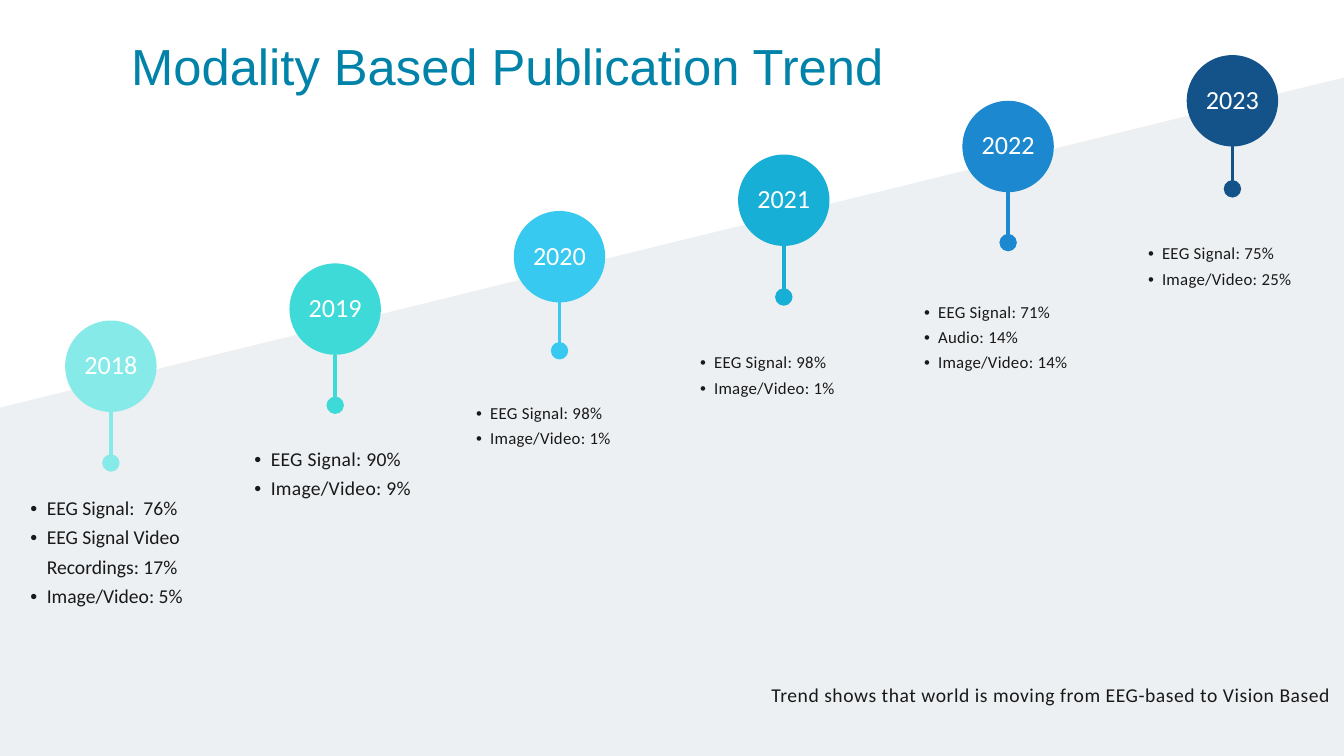
import pptx
import pptx.util
import pptx.dml.color
import pptx.enum.shapes
import pptx.enum.text
import pptx.oxml.ns
from lxml import etree

Inches, Pt = pptx.util.Inches, pptx.util.Pt
SHAPE = pptx.enum.shapes.MSO_SHAPE
ALIGN = pptx.enum.text.PP_ALIGN
ANCHOR = pptx.enum.text.MSO_ANCHOR

SLIDE_W, SLIDE_H = 20, 11.25
COLORS = {
    "panel": "EDF0F2", "sky": "FFFFFF", "label": "FFFFFF",
    "title": "0082A9", "text": "191919",
    "2018": "86EAE9", "2019": "3EDAD8", "2020": "37C9EF",
    "2021": "18AFD6", "2022": "1C88CF", "2023": "13538A",
}

# year: circle top, stem end, list top inside the column, text size, list
MILESTONES = {
    "2018": (4.77, 6.89, 7.34, 21, ["EEG Signal:  76%", "EEG Signal Video Recordings: 17%",
                                    "Image/Video: 5%"]),
    "2019": (3.92, 6.03, 6.61, 21, ["EEG Signal: 90%", "Image/Video: 9%"]),
    "2020": (3.14, 5.22, 5.96, 18, ["EEG Signal: 98%", "Image/Video: 1%"]),
    "2021": (2.30, 4.42, 5.21, 18, ["EEG Signal: 98%", "Image/Video: 1%"]),
    "2022": (1.50, 3.61, 4.46, 18, ["EEG Signal: 71%", "Audio: 14%", "Image/Video: 14%"]),
    "2023": (0.82, 2.81, 3.59, 18, ["EEG Signal: 75%", "Image/Video: 25%"]),
}
CIRCLE = 1.36
FIRST_CENTER, LAST_CENTER = 1.65, 18.34
PITCH = (LAST_CENTER - FIRST_CENTER) / (len(MILESTONES) - 1)


def rgb(name):
    return pptx.dml.color.RGBColor.from_string(COLORS[name])


def add_xml(parent, tag, **attributes):
    return etree.SubElement(parent, pptx.oxml.ns.qn(tag), attributes)


def apply(target, formats):
    for name, value in formats.items():
        setattr(target, name, value)


def write(paragraph, text, size, color, leading, font="Calibri", spacing=0):
    run = paragraph.add_run()
    run.text = text
    apply(run.font, {"name": font, "size": Pt(size), "bold": False})
    run.font.color.rgb = rgb(color)
    if spacing:
        run.font._element.set("spc", str(round(spacing * 100)))
    paragraph.line_spacing = Pt(leading)


def set_frame(frame, anchor, bottom=0):
    apply(frame, {"margin_left": 0, "margin_right": 0, "margin_top": 0,
                  "margin_bottom": Inches(bottom), "word_wrap": True,
                  "vertical_anchor": anchor})


def add_plain_shape(slide, kind, color, left, top, width, height):
    shape = slide.shapes.add_shape(kind, *map(Inches, (left, top, width, height)))
    shape.shadow.inherit = False
    shape.fill.solid()
    shape.fill.fore_color.rgb = rgb(color)
    shape.line.fill.background()
    return shape


def fill_list(cell, top, size, items, spacing):
    margin = Inches(0.21)
    apply(cell, {"margin_left": margin, "margin_right": margin,
                 "margin_top": Inches(top), "margin_bottom": margin})
    properties = cell._tc.get_or_add_tcPr()
    for side in ("a:lnL", "a:lnR", "a:lnT", "a:lnB"):
        add_xml(add_xml(properties, side, w="0"), "a:noFill")
    cell.fill.solid()
    cell.fill.fore_color.rgb = rgb("panel")

    indent = Pt(size) / 1.2
    for number, item in enumerate(items):
        frame = cell.text_frame
        paragraph = frame.add_paragraph() if number else frame.paragraphs[0]
        paragraph.level = 1
        layout = paragraph._p.get_or_add_pPr()
        layout.set("marL", str(round(2 * indent)))
        layout.set("indent", str(-round(indent)))
        add_xml(layout, "a:buFont", typeface="Arial")
        add_xml(layout, "a:buChar", char="•")
        write(paragraph, item, size, "text", size * 1.5, spacing=spacing)


def add_columns(slide):
    count = len(MILESTONES)
    table = slide.shapes.add_table(1, count, 0, Inches(-0.03), Inches(SLIDE_W),
                                   Inches(SLIDE_H + 0.03)).table
    apply(table, {"first_row": False, "horz_banding": False})
    for column, (_, _, top, size, items) in enumerate(MILESTONES.values()):
        fill_list(table.cell(0, column), top, size, items, 0.3 if column else 0)


def add_milestone(slide, year, center, top, stem_end):
    circle = add_plain_shape(slide, SHAPE.OVAL, year, center - CIRCLE / 2, top, CIRCLE, CIRCLE)
    set_frame(circle.text_frame, ANCHOR.MIDDLE, bottom=0.14)
    circle.text_frame.word_wrap = False
    label = circle.text_frame.paragraphs[0]
    label.alignment = ALIGN.CENTER
    write(label, year, 28, "label", 39.2)

    # Stem ending in a dot
    stem = slide.shapes.add_connector(
        pptx.enum.shapes.MSO_CONNECTOR.STRAIGHT,
        *map(Inches, (center, top + CIRCLE, center, stem_end)))
    stem.line.color.rgb = rgb(year)
    stem.line.width = Pt(3.75)
    add_xml(stem.line._get_or_add_ln(), "a:tailEnd", type="oval", w="lg", len="lg")
    add_xml(stem._element.spPr, "a:effectLst")


def add_title(slide, text):
    title = slide.shapes.title
    apply(title, {"left": Inches(0.97), "top": Inches(0.37),
                  "width": Inches(13.17), "height": Inches(1.01)})
    set_frame(title.text_frame, ANCHOR.TOP)
    paragraph = title.text_frame.paragraphs[0]
    paragraph.alignment = ALIGN.CENTER
    write(paragraph, text, 54.3, "title", 76, font="Arial")
    # Bring the title in front of the background
    slide.shapes._spTree.append(title._element)


def add_conclusion(slide, text):
    box = slide.shapes.add_textbox(*map(Inches, (10.58, 10.1, 9.22, 0.4)))
    set_frame(box.text_frame, ANCHOR.TOP)
    paragraph = box.text_frame.paragraphs[0]
    paragraph.alignment = ALIGN.RIGHT
    write(paragraph, text, 21, "text", 29.4, spacing=0.6)


def main():
    deck = pptx.Presentation()
    apply(deck, {"slide_width": Inches(SLIDE_W), "slide_height": Inches(SLIDE_H)})
    slide = deck.slides.add_slide(deck.slide_layouts[5])

    # Columns with lists, and the white slope above them
    add_columns(slide)
    slope = add_plain_shape(slide, SHAPE.RECTANGLE, "sky", -2.2, -2.43, 22.67, 6.16)
    slope.rotation = 346.2

    # Timeline
    for column, (year, (top, stem_end, *_)) in enumerate(MILESTONES.items()):
        add_milestone(slide, year, FIRST_CENTER + column * PITCH, top, stem_end)

    # Title and conclusion
    add_title(slide, "Modality Based Publication Trend")
    add_conclusion(slide, "Trend shows that world is moving from EEG-based to Vision Based")
    deck.save("out.pptx")


if __name__ == "__main__":
    main()
